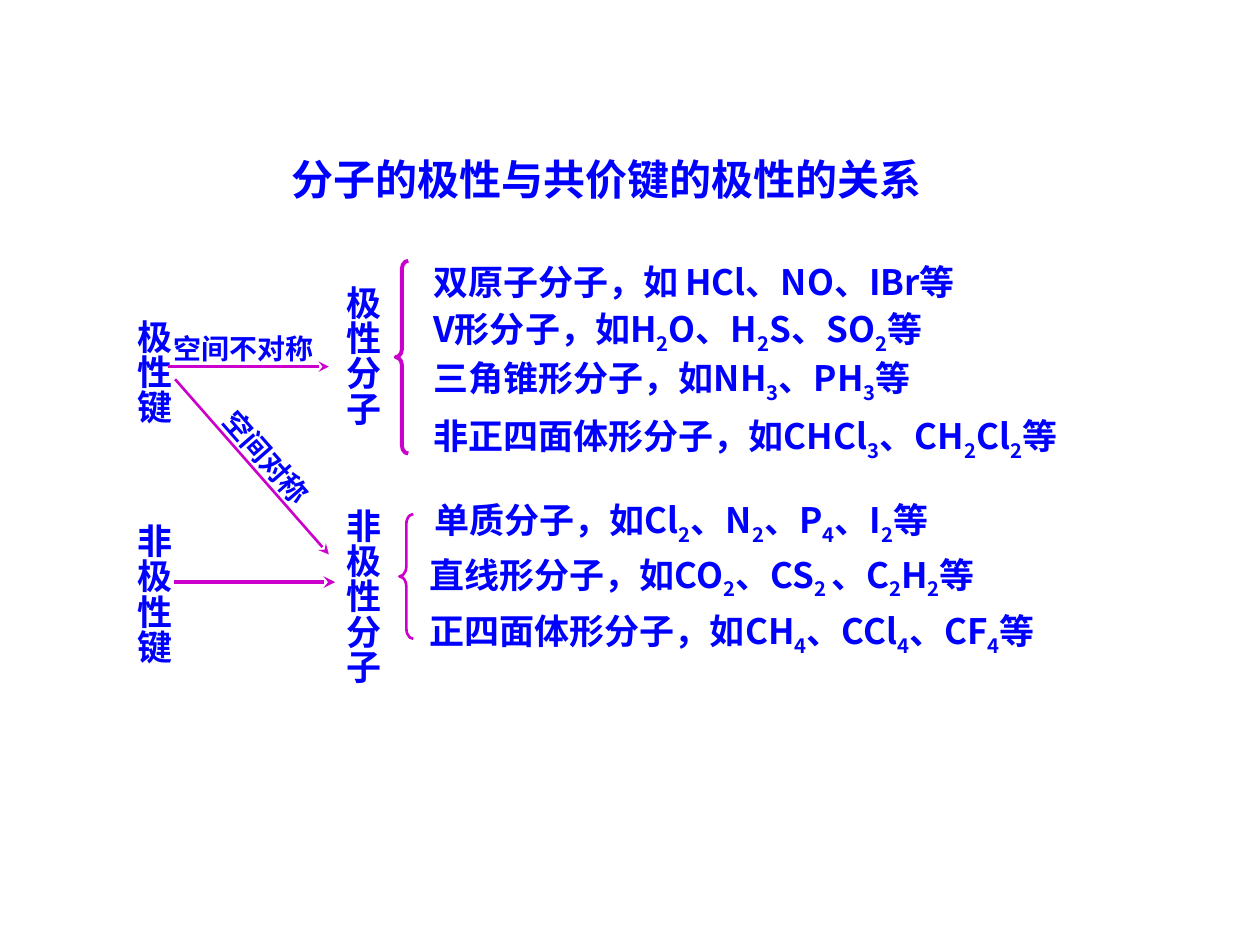
from dataclasses import dataclass
from itertools import groupby

from lxml import etree
from pptx import Presentation
from pptx.dml.color import RGBColor
from pptx.enum.shapes import MSO_CONNECTOR, MSO_SHAPE
from pptx.enum.text import MSO_ANCHOR, MSO_AUTO_SIZE, PP_ALIGN
from pptx.oxml.ns import qn
from pptx.util import Inches, Pt

STRAIGHT = MSO_CONNECTOR.STRAIGHT
LEFT_BRACE = MSO_SHAPE.LEFT_BRACE
TOP = MSO_ANCHOR.TOP
LEFT = PP_ALIGN.LEFT
GROW = MSO_AUTO_SIZE.SHAPE_TO_FIT_TEXT
TITLE_ONLY = 5

# The grid has 100 columns and 75 rows of square cells.
CELL = Inches(0.1)
COLUMNS, ROWS = 100, 75


@dataclass(frozen=True)
class Theme:
    font: str = "Noto Sans CJK SC"
    ink: RGBColor = RGBColor(0x00, 0x00, 0xFF)
    stroke: RGBColor = RGBColor(0xCC, 0x00, 0xCC)
    title: int = 24
    body: int = 20
    label: int = 16
    thin: float = 1.5
    thick: float = 2.25
    loose: float = 1.3
    subscript: str = "-25000"


THEME = Theme()

# column, row, height, text
TERMS = [
    (9.1, 24.4, 12, "极性键"),
    (9.1, 40.6, 14.8, "非极性键"),
    (25.7, 21.7, 14.8, "极性分子"),
    (25.7, 39.4, 20.9, "非极性分子"),
]
# column, row, text; digits are set as subscripts
EXAMPLES = [
    (33.4, 20.2, "双原子分子，如\tHCl、NO、IBr等"),
    (33.4, 23.9, "V形分子，如H2O、H2S、SO2等"),
    (33.4, 27.8, "三角锥形分子，如NH3、PH3等"),
    (33.4, 32.4, "非正四面体形分子，如CHCl3、CH2Cl2等"),
    (33.5, 39.1, "单质分子，如Cl2、N2、P4、I2等"),
    (33.1, 43.4, "直线形分子，如CO2、CS2 、C2H2等"),
    (33.1, 47.9, "正四面体形分子，如CH4、CCl4、CF4等"),
]
# start column and row, end column and row, width
ARROWS = [
    (13.8, 46.2, 26.6, 46.2, THEME.thick),
    (13.3, 29.1, 26.1, 29.1, THEME.thin),
    (13.9, 30.1, 26.1, 44, THEME.thin),
]
# column, row, rotation, text
LABELS = [
    (12.8, 25, 0, "空间不对称"),
    (14.7, 36.7, 48.8, "空间对称"),
]
# column, row, width, height, curve depth as a share of the width, line width
BRACES = [
    (31.4, 20.7, 1, 15.3, 0.64, THEME.thick),
    (31.7, 40.8, 1.1, 9.9, 0.73, THEME.thin),
]


def cells(*counts):
    return [round(count * CELL) for count in counts]


def is_subscript(char):
    """A space occurs only after a subscript digit, and is lowered with it."""
    return char.isdigit() or char == " "


def add_span(para, text, size, lowered=False):
    span = para.add_run()
    span.text = text
    font = span.font
    font.name, font.size, font.bold = THEME.font, Pt(size), True
    font.color.rgb = THEME.ink
    props = font._element
    etree.SubElement(props, qn("a:ea")).set("typeface", THEME.font)
    if lowered:
        props.set("baseline", THEME.subscript)


def write(box, text, size, line_spacing=None):
    frame = box.text_frame
    frame.word_wrap = True
    frame.auto_size = GROW
    frame.vertical_anchor = TOP
    para = frame.paragraphs[0]
    para.alignment = LEFT
    if line_spacing:
        para.line_spacing = line_spacing
    for lowered, chars in groupby(text, is_subscript):
        add_span(para, "".join(chars), size, lowered)


def set_title(page, text):
    box = page.shapes.title
    box.left, box.top, box.width, box.height = cells(22.1, 11.7, 54, 5)
    write(box, text, THEME.title)


def add_term(page, column, row, height, text):
    """Add a term that reads from top to bottom."""
    box = page.shapes.add_textbox(*cells(column, row, 6.3, height))
    frame = box.text_frame
    frame.margin_left = frame.margin_right = Inches(0.05)
    frame.margin_top = frame.margin_bottom = Inches(0.1)
    frame._txBody.bodyPr.set("vert", "eaVert")
    write(box, text, THEME.body, THEME.loose)


def add_example(page, column, row, text):
    box = page.shapes.add_textbox(*cells(column, row, 63.7, 4.8))
    write(box, text, THEME.body)


def add_label(page, column, row, rotation, text):
    box = page.shapes.add_textbox(*cells(column, row, 18.6, 4.5))
    box.rotation = rotation
    write(box, text, THEME.label, THEME.loose)


def set_stroke(line, width):
    line.color.rgb = THEME.stroke
    line.width = Pt(width)


def add_arrow(page, *ends, width):
    arrow = page.shapes.add_connector(STRAIGHT, *cells(*ends))
    set_stroke(arrow.line, width)
    outline = arrow.line._get_or_add_ln()
    etree.SubElement(outline, qn("a:tailEnd")).set("type", "stealth")
    etree.SubElement(arrow._element.spPr, qn("a:effectLst"))


def add_brace(page, *place, depth, width):
    brace = page.shapes.add_shape(LEFT_BRACE, *cells(*place))
    brace.shadow.inherit = False
    brace.adjustments[0] = depth
    brace.fill.background()
    set_stroke(brace.line, width)


def main():
    deck = Presentation()
    deck.slide_width, deck.slide_height = cells(COLUMNS, ROWS)
    page = deck.slides.add_slide(deck.slide_layouts[TITLE_ONLY])
    set_title(page, "分子的极性与共价键的极性的关系")
    for term in TERMS:
        add_term(page, *term)
    for *ends, width in ARROWS:
        add_arrow(page, *ends, width=width)
    for label in LABELS:
        add_label(page, *label)
    for *place, depth, width in BRACES:
        add_brace(page, *place, depth=depth, width=width)
    for example in EXAMPLES:
        add_example(page, *example)
    deck.save("out.pptx")


if __name__ == "__main__":
    main()
